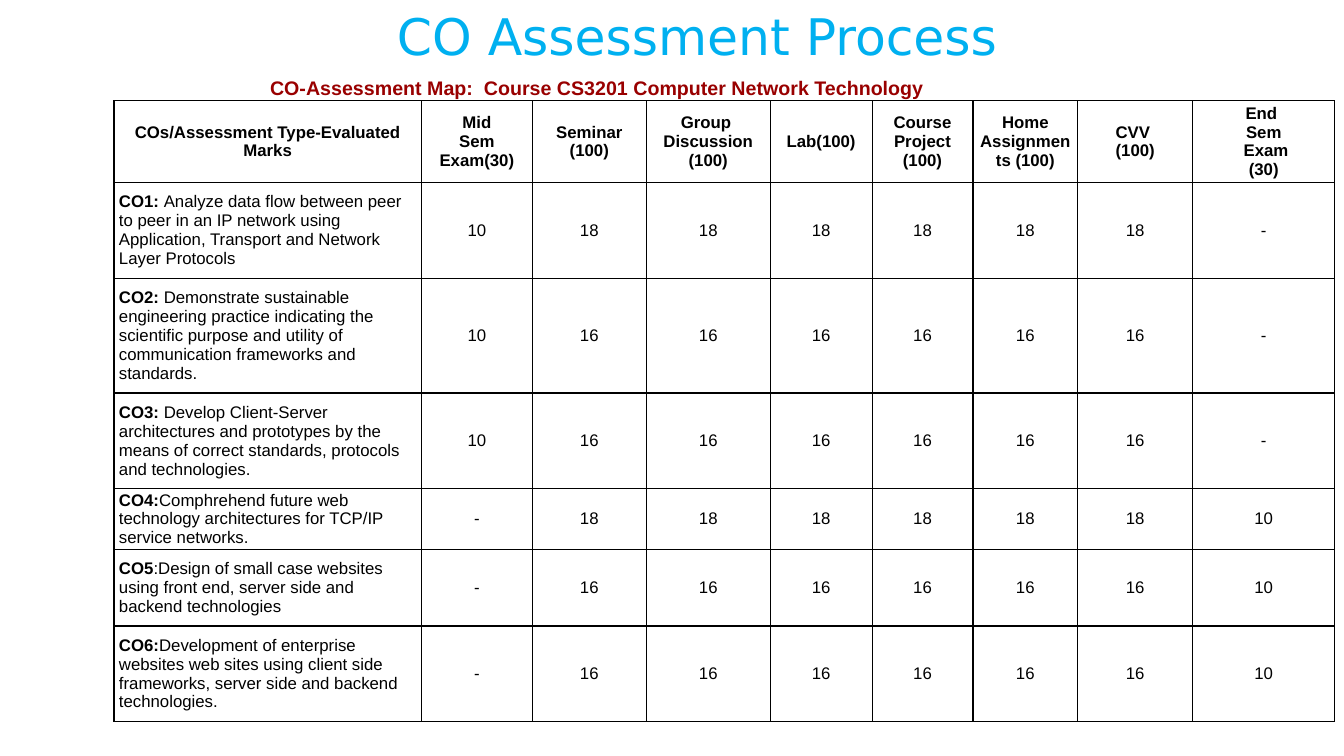
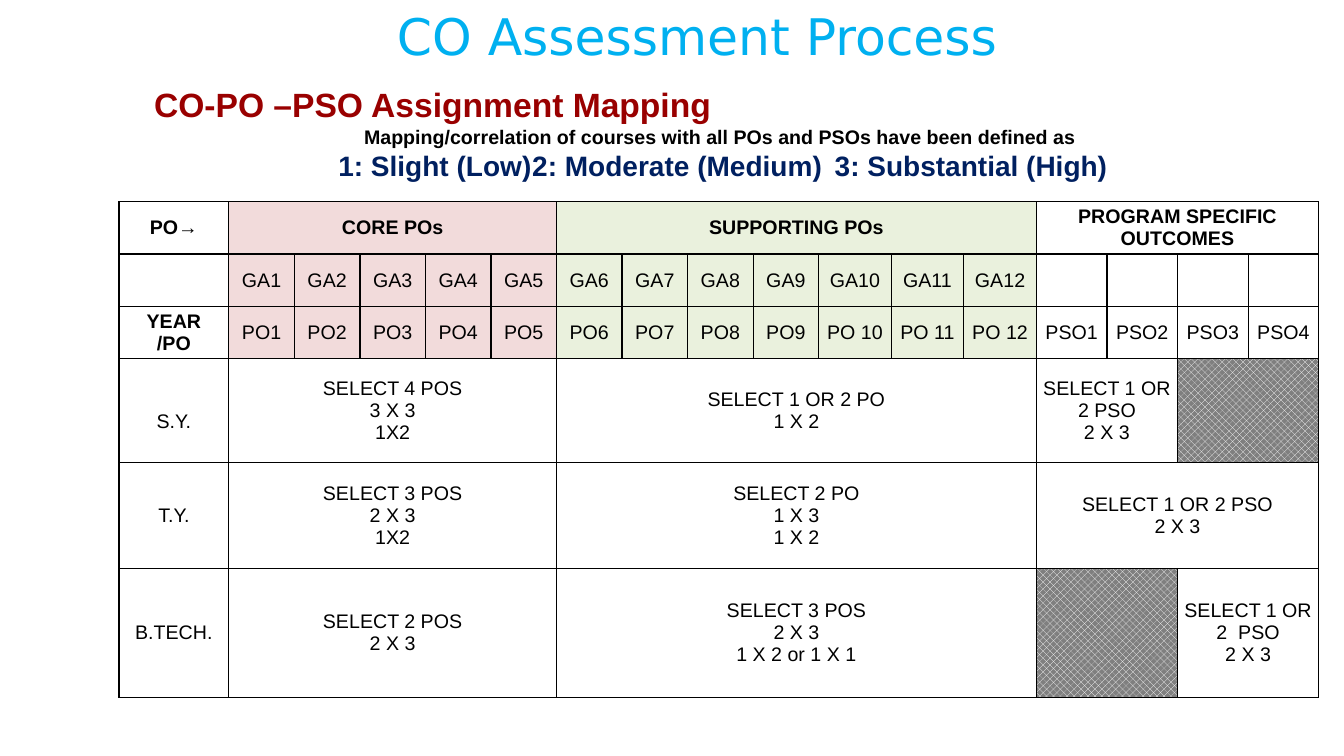
"""Build two slides on the CO assessment process: the marks map and the CO-PO-PSO mapping."""
from lxml.etree import SubElement
from pptx import Presentation
from pptx.dml.color import RGBColor
from pptx.enum.dml import MSO_PATTERN
from pptx.enum.text import MSO_ANCHOR, PP_ALIGN
from pptx.oxml.ns import qn
from pptx.util import Inches, Pt

SKY = RGBColor(0x00, 0xB0, 0xF0)
MAROON = RGBColor(0x99, 0x00, 0x00)
NAVY = RGBColor(0x00, 0x20, 0x60)
BLACK = RGBColor(0x00, 0x00, 0x00)
WHITE = RGBColor(0xFF, 0xFF, 0xFF)
GREY = RGBColor(0x7F, 0x7F, 0x7F)
PINK = RGBColor(0xF2, 0xDB, 0xDB)
GREEN = RGBColor(0xEA, 0xF1, 0xDD)
CENTER, LEFT = PP_ALIGN.CENTER, PP_ALIGN.LEFT


def write(frame, lines, size, bold=False, color=BLACK, align=CENTER, font="Arial"):
    """Write each line as a paragraph; a line is a string or a list of (text, bold) runs."""
    for index, line in enumerate(lines):
        fresh = index == 0 and not frame.paragraphs[0].runs
        paragraph = frame.paragraphs[0] if fresh else frame.add_paragraph()
        paragraph.alignment = align
        for text, weight in [(line, bold)] if isinstance(line, str) else line:
            run = paragraph.add_run()
            run.text = text
            run.font.name, run.font.size, run.font.bold = font, Pt(size), weight
            run.font.color.rgb = color


def add_grid(slide, left, top, columns, rows):
    """Add a plain table with thin black borders on every cell."""
    grid = slide.shapes.add_table(len(rows), len(columns), Inches(left), Inches(top),
                                  Inches(sum(columns)), Inches(sum(rows))).table
    grid.first_row = grid.horz_banding = False
    for column, width in zip(grid.columns, columns):
        column.width = Inches(width)
    for row, height in zip(grid.rows, rows):
        row.height = Inches(height)
    for cell in grid.iter_cells():
        cell.margin_left = cell.margin_right = Inches(0.05)
        cell.margin_top = cell.margin_bottom = 0
        cell.vertical_anchor = MSO_ANCHOR.MIDDLE
        for side in ("a:lnL", "a:lnR", "a:lnT", "a:lnB"):
            border = SubElement(cell._tc.get_or_add_tcPr(), qn(side), w=str(Pt(1)))
            SubElement(SubElement(border, qn("a:solidFill")), qn("a:srgbClr"), val=str(BLACK))
        cell.fill.background()
    return grid


deck = Presentation()
deck.slide_width, deck.slide_height = Inches(13.33), Inches(7.5)

slides, subtitles = [], []
for left, top, width, height in [(2.58, 0.7, 8.92, 0.34), (1.43, 0.78, 11.48, 1.08)]:
    slide = deck.slides.add_slide(deck.slide_layouts[6])
    title = slide.shapes.add_textbox(Inches(2.33), 0, Inches(9.33), Inches(0.71)).text_frame
    title.word_wrap = True
    write(title, ["CO Assessment Process "], 36, color=SKY, font="DejaVu Sans")
    subtitle = slide.shapes.add_textbox(Inches(left), Inches(top),
                                        Inches(width), Inches(height)).text_frame
    subtitle.word_wrap = True
    subtitle.vertical_anchor = MSO_ANCHOR.MIDDLE
    slides.append(slide)
    subtitles.append(subtitle)
marks_slide, mapping_slide = slides
marks_subtitle, mapping_subtitle = subtitles

write(marks_subtitle, ["CO-Assessment Map:  Course CS3201 Computer Network Technology"],
      14, True, MAROON, LEFT)

assessments = [
    ["COs/Assessment Type-Evaluated Marks"],
    ["Mid", "Sem", "Exam(30)"],
    ["Seminar (100)"],
    ["Group ", "Discussion (100)"],
    ["Lab(100)"],
    ["Course Project (100)"],
    ["Home Assignments (100)"],
    ["CVV ", "(100)"],
    ["End ", "Sem", " Exam", "(30)"],
]
outcomes = [
    ("CO1: ", "Analyze data flow between peer to peer in an IP network using Application, "
     "Transport and Network Layer Protocols", "10", "18", "-"),
    ("CO2: ", "Demonstrate sustainable engineering practice indicating the scientific purpose "
     "and utility of communication frameworks and standards.", "10", "16", "-"),
    ("CO3: ", "Develop Client-Server architectures and prototypes by the means of correct "
     "standards, protocols and technologies.", "10", "16", "-"),
    ("CO4:", "Comphrehend future web technology architectures for TCP/IP service networks.",
     "-", "18", "10"),
    ("CO5", ":Design of small case websites using front end, server side and backend "
     "technologies", "-", "16", "10"),
    ("CO6:", "Development of enterprise websites web sites using client side frameworks, "
     "server side and backend technologies.", "-", "16", "10"),
]
marks = add_grid(marks_slide, 1.13, 1, [3.05, 1.1, 1.13, 1.23, 1.01, 1, 1.04, 1.14, 1.41],
                 [0.81, 0.95, 1.14, 0.95, 0.6, 0.76, 0.95])
for column, heading in enumerate(assessments):
    write(marks.cell(0, column).text_frame, heading, 12, True)
for row, (code, outcome, mid_sem, coursework, end_sem) in enumerate(outcomes, 1):
    write(marks.cell(row, 0).text_frame, [[(code, True), (outcome, False)]], 12, align=LEFT)
    for column, mark in enumerate([mid_sem] + [coursework] * 6 + [end_sem], 1):
        cell = marks.cell(row, column)
        cell.fill.solid()
        cell.fill.fore_color.rgb = WHITE
        write(cell.text_frame, [mark], 12)

write(mapping_subtitle, ["CO-PO –PSO Assignment Mapping"], 24, True, MAROON, LEFT)
write(mapping_subtitle,
      ["Mapping/correlation of courses with all POs and PSOs have been defined as "], 14, True)
write(mapping_subtitle,
      [" 1: Slight (Low)\t2: Moderate (Medium)\t3: Substantial (High) "], 20, True, NAVY)

mapping = add_grid(mapping_slide, 1.18, 2, [1.09] + [0.65] * 9 + [0.72] * 3 + [0.7] * 4,
                   [0.52] * 3 + [1.03, 1.05, 1.28])
for row in range(3):
    for column in range(1, 13):
        cell = mapping.cell(row, column)
        cell.fill.solid()
        cell.fill.fore_color.rgb = PINK if column <= 5 else GREEN

for number in range(1, 13):
    write(mapping.cell(1, number).text_frame, [f"GA{number}"], 14)
    write(mapping.cell(2, number).text_frame, [f"PO{number}" if number < 10 else f"PO {number}"], 14)
for number in range(1, 5):
    write(mapping.cell(2, 12 + number).text_frame, [f"PSO{number}"], 14)

row_labels = [(0, ["PO→"]), (2, ["YEAR", "/PO"]), (3, ["S.Y."]), (4, ["T.Y."]), (5, ["B.TECH."])]
for row, label in row_labels:
    write(mapping.cell(row, 0).text_frame, label, 14, row < 3)
mapping.cell(3, 0).margin_top = Inches(0.22)

CORE, SUPPORTING, SPECIFIC = (1, 5), (6, 12), (13, 16)
FIRST_PAIR, LAST_PAIR = (13, 14), (15, 16)
spans = [
    (0, CORE, ["CORE POs"]),
    (0, SUPPORTING, ["SUPPORTING POs"]),
    (0, SPECIFIC, ["PROGRAM SPECIFIC OUTCOMES"]),
    (3, CORE, ["SELECT 4 POS", "3 X 3", "1X2"]),
    (3, SUPPORTING, ["SELECT 1 OR 2 PO", "1 X 2"]),
    (3, FIRST_PAIR, ["SELECT 1 OR 2 PSO", "2 X 3"]),
    (3, LAST_PAIR, []),
    (4, CORE, ["SELECT 3 POS", "2 X 3", "1X2"]),
    (4, SUPPORTING, ["SELECT 2 PO", "1 X 3", "1 X 2"]),
    (4, SPECIFIC, ["SELECT 1 OR 2 PSO", "2 X 3"]),
    (5, CORE, ["SELECT 2 POS", "2 X 3"]),
    (5, SUPPORTING, ["SELECT 3 POS", "2 X 3", "1 X 2 or 1 X 1"]),
    (5, FIRST_PAIR, []),
    (5, LAST_PAIR, ["SELECT 1 OR 2  PSO", "2 X 3"]),
]
for row, (first, last), rule in spans:
    cell = mapping.cell(row, first)
    cell.merge(mapping.cell(row, last))
    write(cell.text_frame, rule, 14, row == 0)
    if not rule:
        cell.fill.patterned()
        cell.fill.pattern = MSO_PATTERN.PERCENT_50
        cell.fill.fore_color.rgb, cell.fill.back_color.rgb = WHITE, GREY

deck.save("out.pptx")
